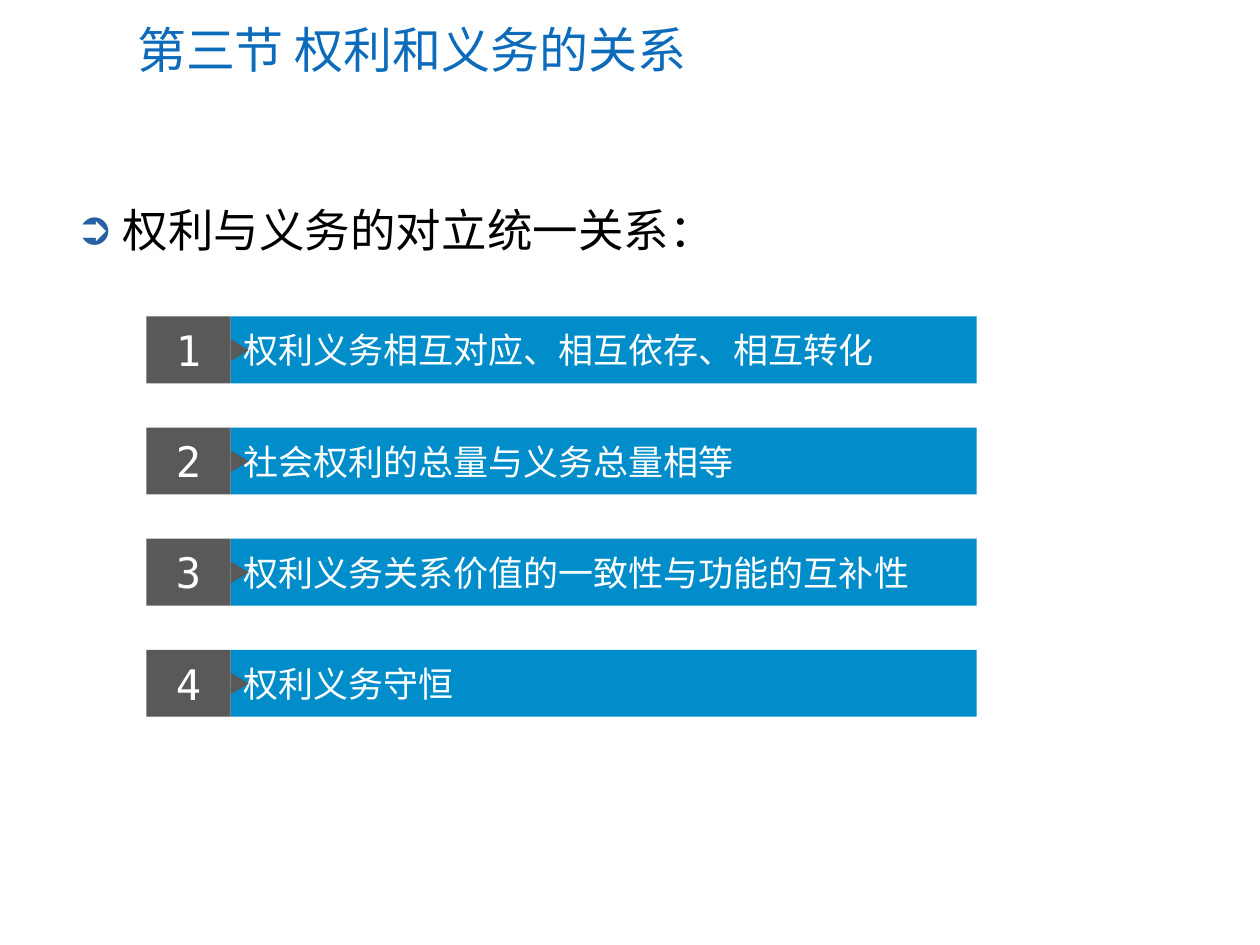
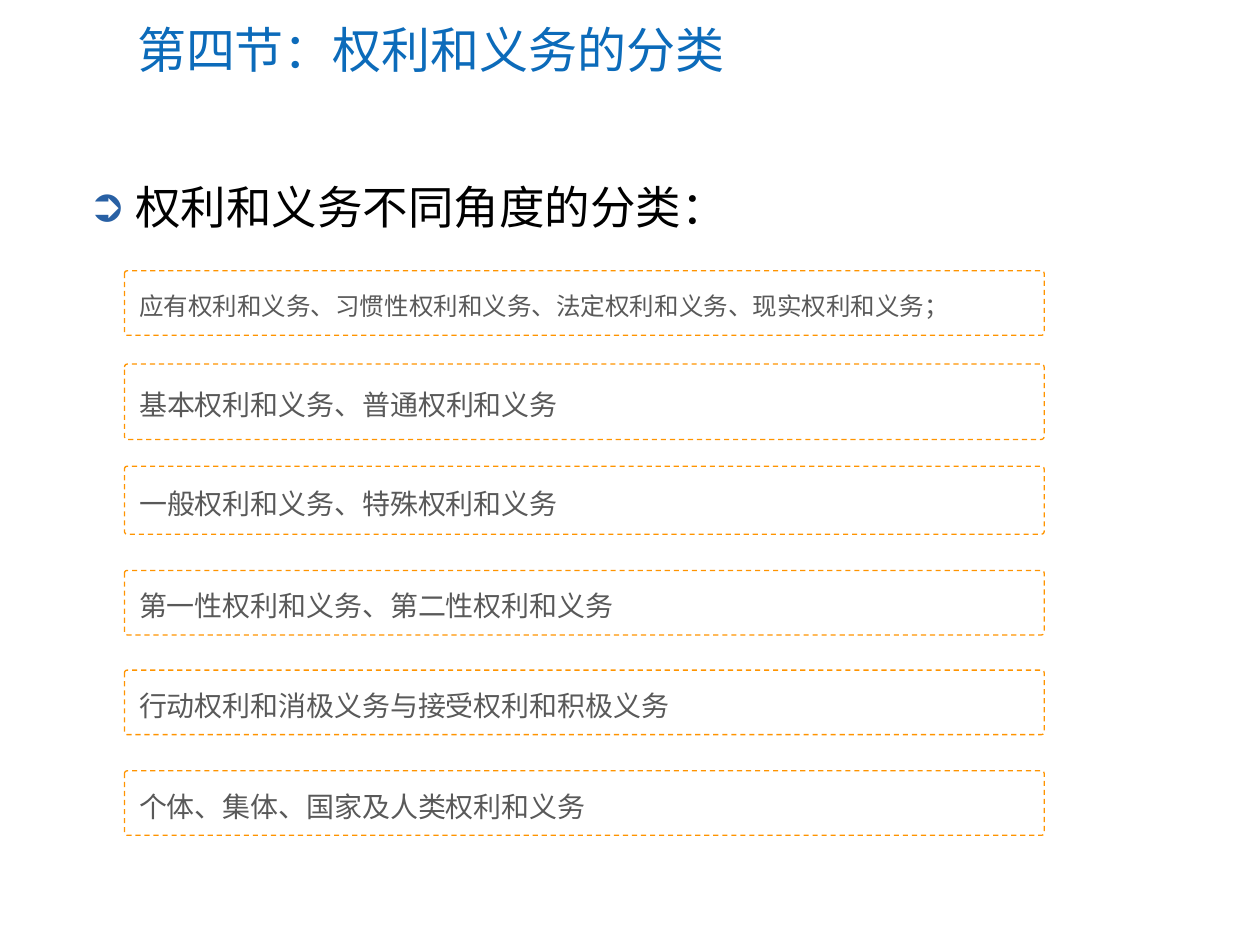
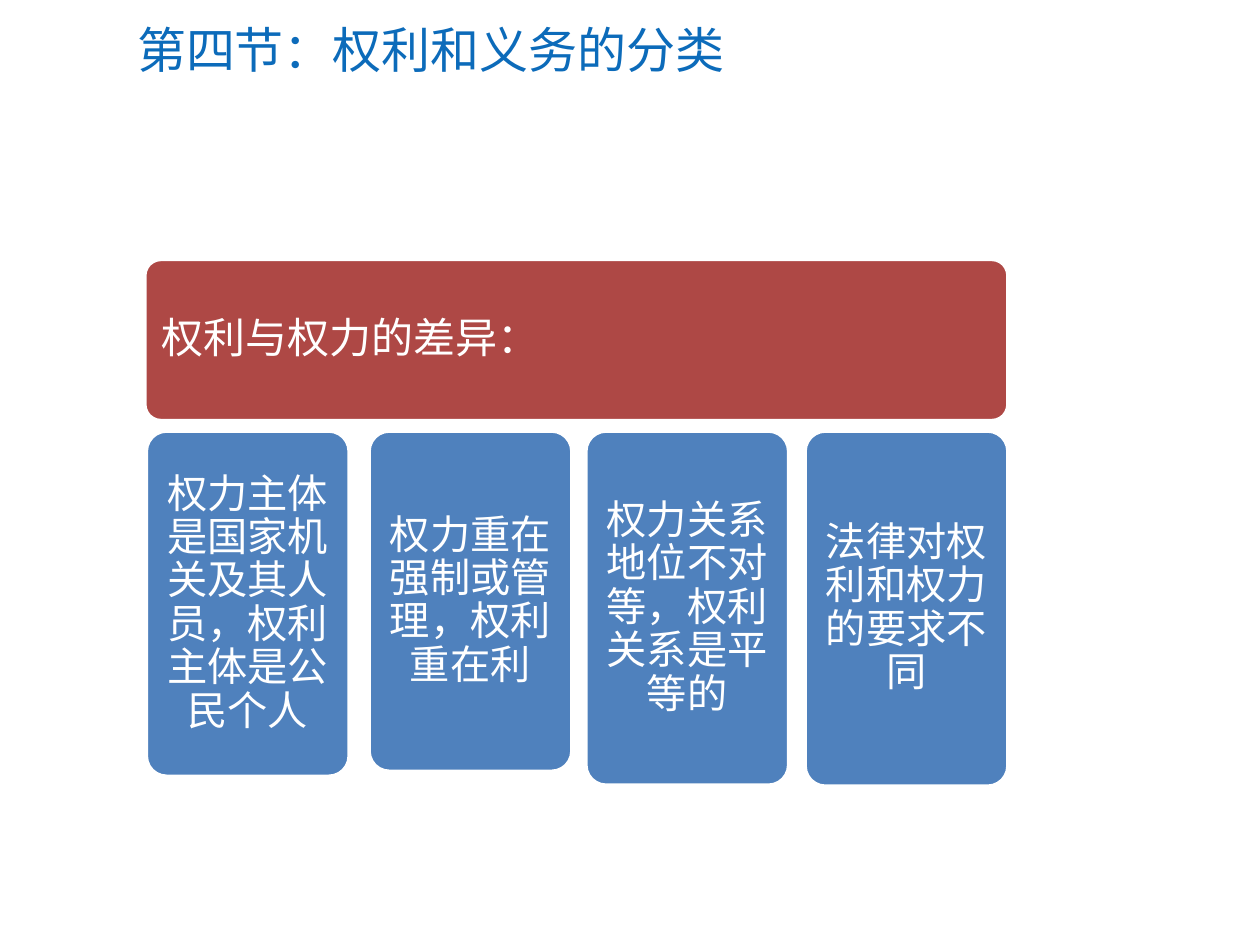
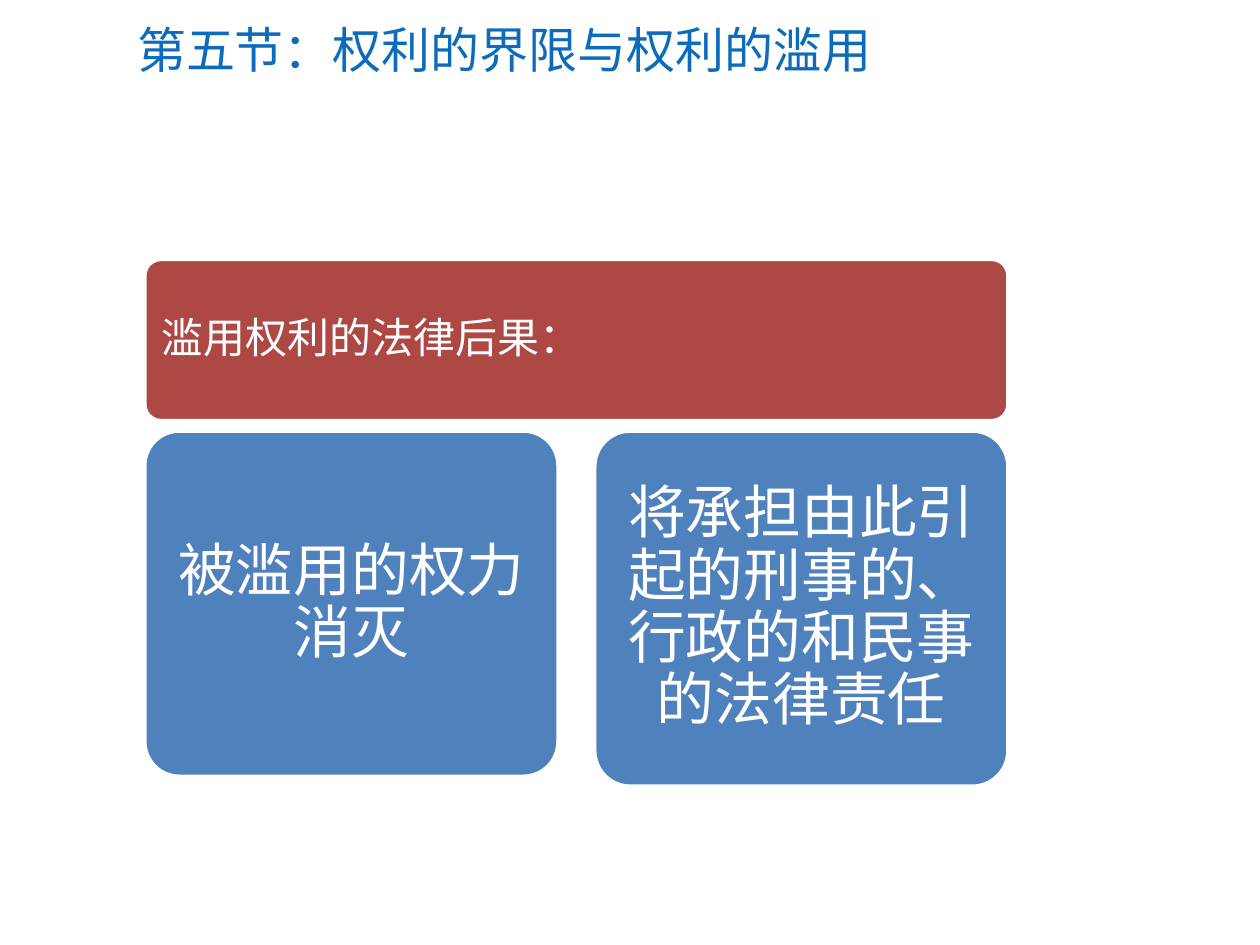
"""Build four slides on the relation, classes and limits of rights and duties."""
from lxml import etree
from pptx import Presentation
from pptx.dml.color import RGBColor
from pptx.enum.dml import MSO_LINE
from pptx.enum.shapes import MSO_SHAPE
from pptx.enum.text import MSO_ANCHOR, MSO_AUTO_SIZE, PP_ALIGN
from pptx.oxml.ns import qn
from pptx.util import Cm, Pt

RECT = MSO_SHAPE.RECTANGLE
ROUNDED = MSO_SHAPE.ROUNDED_RECTANGLE
TRIANGLE = MSO_SHAPE.ISOSCELES_TRIANGLE
DASH = MSO_LINE.DASH
MIDDLE, TOP = MSO_ANCHOR.MIDDLE, MSO_ANCHOR.TOP
NO_FIT = MSO_AUTO_SIZE.NONE
LEFT, CENTER = PP_ALIGN.LEFT, PP_ALIGN.CENTER

LIST_LAYOUT, TITLE_LAYOUT = 1, 5
BODY_FONT, NUMBER_FONT, CLASS_FONT = "Calibri", "DejaVu Sans Mono", "Noto Sans CJK SC"
TITLE_BLUE, BULLET_BLUE, BAR_BLUE, CARD_BLUE = "0C6BBA", "2860A4", "008DCA", "4F81BD"
RED, ORANGE, GREY, WHITE, BLACK = "AE4845", "FF9400", "595959", "FFFFFF", "000000"

RELATIONS = [
    "权利义务相互对应、相互依存、相互转化",
    "社会权利的总量与义务总量相等",
    "权利义务关系价值的一致性与功能的互补性",
    "权利义务守恒",
]
CLASSES = [
    (5.46, 1.3, 14, "应有权利和义务、习惯性权利和义务、法定权利和义务、现实权利和义务；"),
    (7.34, 1.52, 16, "基本权利和义务、普通权利和义务"),
    (9.4, 1.37, 16, "一般权利和义务、特殊权利和义务"),
    (11.5, 1.3, 16, "第一性权利和义务、第二性权利和义务"),
    (13.51, 1.3, 16, "行动权利和消极义务与接受权利和积极义务"),
    (15.54, 1.3, 16, "个体、集体、国家及人类权利和义务"),
]
DIFFERENCES = [
    (2.95, 6.96, "权力主体是国家机关及其人员，权利主体是公民个人"),
    (7.44, 6.86, "权力重在强制或管理，权利重在利"),
    (11.81, 7.14, "权力关系地位不对等，权利关系是平等的"),
    (16.23, 7.16, "法律对权利和权力的要求不同"),
]
CONSEQUENCES = [
    (2.92, 6.96, "被滥用的权力消灭"),
    (11.99, 7.16, "将承担由此引起的刑事的、行政的和民事的法律责任"),
]


def color(code):
    """Return the colour for a hex string."""
    return RGBColor.from_string(code)


class Deck:
    """Hold the shared style and the current slide."""

    def __init__(self):
        """Open an empty 10 by 7.5 inch presentation."""
        self.prs = Presentation()
        self.prs.slide_width, self.prs.slide_height = Cm(25.4), Cm(19.05)
        self.slide = None

    def new_slide(self, title, layout):
        """Start a slide with its title."""
        self.slide = self.prs.slides.add_slide(self.prs.slide_layouts[layout])
        heading = self.slide.shapes.title
        self.place(heading, 2.51, 0.25, 22.15, 1.47)
        self.set_text(heading, title, 28, TITLE_BLUE)

    def place(self, element, left, top, width, height):
        """Move and size an element, in centimetres."""
        element.left, element.top = Cm(left), Cm(top)
        element.width, element.height = Cm(width), Cm(height)

    def set_text(self, element, text, size, ink, font=BODY_FONT, align=LEFT,
                 anchor=MIDDLE, spacing=None, bullet=None):
        """Fill an element with one formatted paragraph."""
        frame = element.text_frame
        frame.word_wrap, frame.auto_size = True, NO_FIT
        frame.vertical_anchor = anchor
        frame.text = text
        paragraph = frame.paragraphs[0]
        paragraph.alignment = align
        paragraph.space_before = Pt(0)
        if spacing:
            paragraph.line_spacing = spacing
        if bullet:
            properties = paragraph._p.get_or_add_pPr()
            tint = etree.SubElement(properties, qn("a:buClr"))
            etree.SubElement(tint, qn("a:srgbClr"), val=BULLET_BLUE)
            etree.SubElement(properties, qn("a:buChar"), char=bullet)
        paragraph.font.name, paragraph.font.size = font, Pt(size)
        paragraph.font.color.rgb = color(ink)

    def lead(self, text, left, top, width, height):
        """Put the bulleted lead sentence in the body placeholder."""
        body = self.slide.placeholders[1]
        self.place(body, left, top, width, height)
        self.set_text(body, text, 26, BLACK, anchor=TOP, bullet="➲")

    def block(self, kind, left, top, width, height, fill, line=None, weight=1):
        """Add a filled shape, outlined if a line colour is given."""
        shape = self.slide.shapes.add_shape(kind, Cm(left), Cm(top), Cm(width), Cm(height))
        shape.shadow.inherit = False
        shape.fill.solid()
        shape.fill.fore_color.rgb = color(fill)
        if line:
            shape.line.color.rgb = color(line)
            shape.line.width = Pt(weight)
        else:
            shape.line.fill.background()
        return shape

    def numbered_bar(self, number, text, top):
        """Add a blue bar led by a grey number box with a pointer."""
        bar = self.block(RECT, 4.65, top, 15.04, 1.35, BAR_BLUE)
        self.set_text(bar, text, 20, WHITE)
        badge = self.block(RECT, 2.95, top, 1.7, 1.35, GREY)
        self.set_text(badge, str(number), 24, WHITE, NUMBER_FONT, CENTER)
        pointer = self.block(TRIANGLE, 4.62, top + 0.5, 0.43, 0.36, GREY)
        pointer.rotation = 90

    def dashed_row(self, top, height, size, text):
        """Add a dashed frame around one class of rights and duties."""
        row = self.block(ROUNDED, 2.51, top, 18.54, height, WHITE, ORANGE, 0.75)
        row.adjustments[0] = 0.04
        row.line.dash_style = DASH
        self.set_text(row, text, size, GREY, CLASS_FONT, spacing=1.3)
        row.text_frame.margin_left = Cm(0.28)
        row.text_frame.margin_top, row.text_frame.margin_bottom = Cm(0), Cm(0.08)

    def card(self, left, top, width, height, fill, text, size, align=CENTER, inset=0.25):
        """Add a rounded card with white text."""
        card = self.block(ROUNDED, left, top, width, height, fill, WHITE, 2)
        card.adjustments[0] = 0.1
        self.set_text(card, text, size, WHITE, align=align, spacing=0.9)
        frame = card.text_frame
        frame.margin_left = frame.margin_right = Cm(inset)
        frame.margin_top = frame.margin_bottom = Cm(inset)

    def card_group(self, heading, cards, width, size, inset):
        """Add a red heading over a row of blue cards."""
        self.card(2.92, 5.23, 17.4, 3.25, RED, heading, 24, LEFT)
        for left, height, text in cards:
            self.card(left, 8.69, width, height, CARD_BLUE, text, size, inset=inset)


def main():
    """Build and save the four slides."""
    deck = Deck()

    deck.new_slide("第三节 权利和义务的关系", LIST_LAYOUT)
    deck.lead("权利与义务的对立统一关系：", 1.27, 3.94, 22.86, 1.63)
    for index, relation in enumerate(RELATIONS):
        deck.numbered_bar(index + 1, relation, 6.38 + index * 2.24)

    deck.new_slide("第四节：权利和义务的分类", LIST_LAYOUT)
    deck.lead("权利和义务不同角度的分类：", 1.52, 3.48, 19.2, 1.52)
    for row in CLASSES:
        deck.dashed_row(*row)

    deck.new_slide("第四节：权利和义务的分类", TITLE_LAYOUT)
    deck.card_group("权利与权力的差异：", DIFFERENCES, 4.09, 23, 0.25)

    deck.new_slide("第五节：权利的界限与权利的滥用", TITLE_LAYOUT)
    deck.card_group("滥用权利的法律后果：", CONSEQUENCES, 8.33, 33, 0.36)

    deck.prs.save("out.pptx")


if __name__ == "__main__":
    main()
